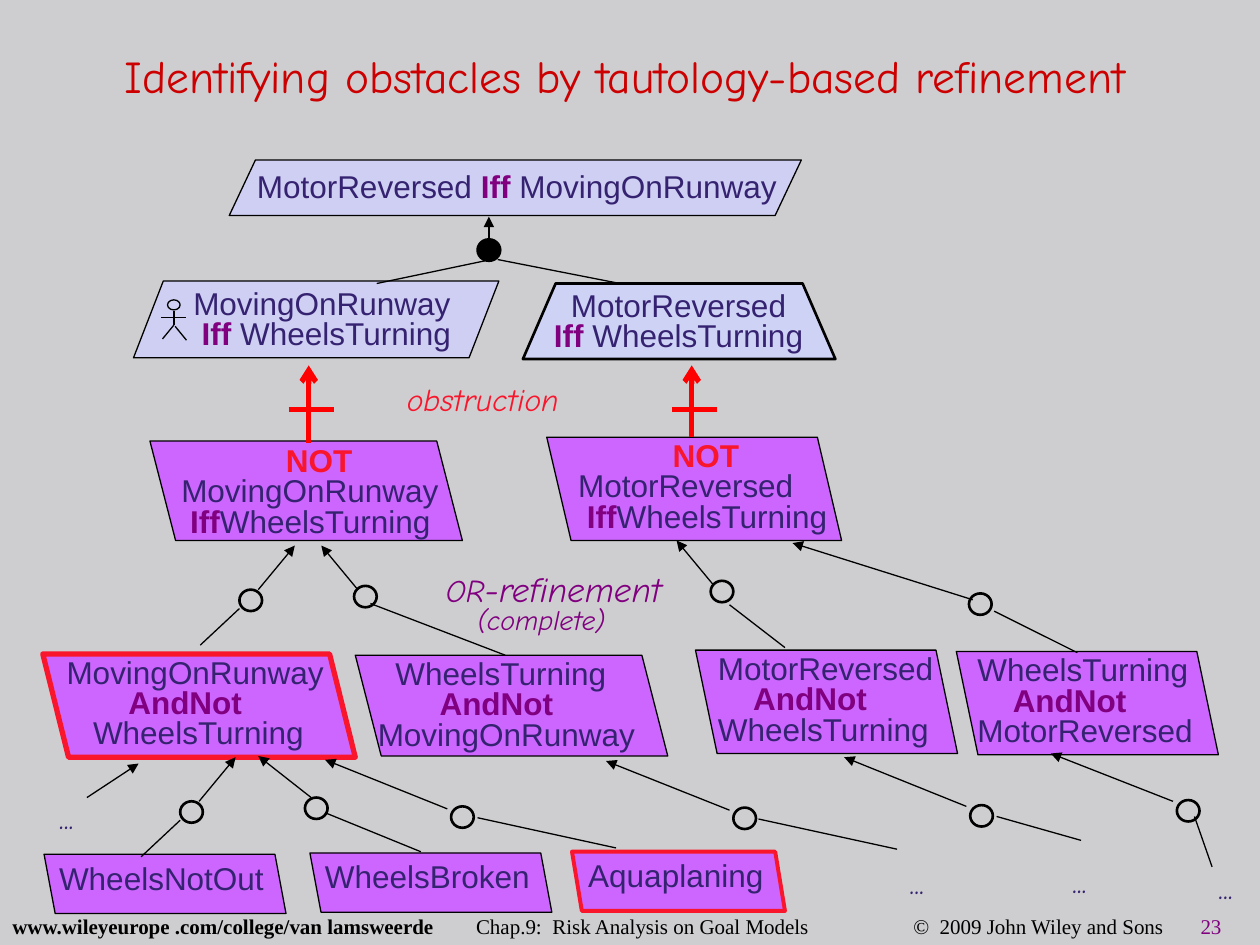
from lxml import etree
from pptx import Presentation
from pptx.dml.color import RGBColor
from pptx.enum.shapes import MSO_CONNECTOR, MSO_SHAPE
from pptx.enum.text import MSO_ANCHOR, PP_ALIGN
from pptx.oxml.ns import qn
from pptx.util import Inches, Pt

LINE = MSO_CONNECTOR.STRAIGHT
SLANTED, CIRCLE = MSO_SHAPE.PARALLELOGRAM, MSO_SHAPE.OVAL
LEFT, CENTER = PP_ALIGN.LEFT, PP_ALIGN.CENTER

THEME = {
    "page": "CECED0", "goal": "CECFF2", "expectation": "CED3F6", "obstacle": "CC66FF",
    "ink": "352270", "keyword": "800080", "alert": "F9152B", "title": "CC0000",
    "arrow": "FF0000", "black": "000000",
    "sans": "Arial", "hand": "Comic Neue", "serif": "Times New Roman",
    "body_size": 18, "title_size": 26, "big_size": 20, "small_size": 16, "footer_size": 12,
}

# A text line is (indent, [(text, colour), ...]); any colour but ink is bold.
TITLE = "Identifying obstacles by tautology-based refinement"
FOOTER = [("www.wileyeurope .com/college/van lamsweerde", "black", True),
          ("\tChap.9:  Risk Analysis on Goal Models", "black", False),
          ("\t©  2009 John Wiley and Sons", "black", False),
          ("\t23", "keyword", False)]
FOOTER_TABS = [3.68, 7.15, 9.43]

# Goals: outline box, slant
GOALS = [((1.82, 1.27, 4.54, 0.44), 0.472), ((1.06, 2.23, 2.9, 0.61), 0.388)]
EXPECTATION = [(6.63, 2.85), (6.37, 2.25), (4.41, 2.25), (4.15, 2.85)]
# Goal labels: box, alignment, line spacing, lines
GOAL_TEXTS = [
    ((1.94, 1.28, 4.41, 0.39), LEFT, 1.0,
     [(0, [("MotorReversed ", "ink"), ("Iff ", "keyword"), ("MovingOnRunway", "ink")])]),
    ((4.14, 2.28, 2.49, 0.57), CENTER, 0.8,
     [(0, [("MotorReversed", "ink")]), (0, [("Iff ", "keyword"), ("WheelsTurning", "ink")])]),
    ((1.36, 2.26, 2.39, 0.57), CENTER, 0.8,
     [(0, [("MovingOnRunway", "ink")]),
      (0.07, [("Iff ", "keyword"), ("WheelsTurning", "ink")])]),
]


def negated(indent, subject):
    return [(indent, [("NOT", "alert")]), (0, [(subject, "ink")]),
            (0.07, [("Iff", "keyword"), ("WheelsTurning", "ink")])]


def and_not(first, second, indents):
    words = [(first, "ink"), ("AndNot", "keyword"), (second, "ink")]
    return [(indent, [word]) for indent, word in zip(indents, words)]


def leaf(word):
    return [(0.07, [(word, "ink")])]


# Obstacles: outline box, slant, emphasis width (0 = plain), label box, lines
OBSTACLES = [
    ((1.19, 3.5, 2.48, 0.79), 0.258, 0, (1.34, 3.51, 2.41, 0.82), negated(0.83, "MovingOnRunway")),
    ((4.34, 3.47, 2.34, 0.82), 0.235, 0, (4.49, 3.47, 2.34, 0.85), negated(0.75, "MotorReversed")),
    ((0.34, 5.19, 2.48, 0.82), 0.249, 3, (0.43, 5.19, 2.31, 0.85),
     and_not("MovingOnRunway", "WheelsTurning", (0, 0.49, 0.21))),
    ((2.82, 5.2, 2.48, 0.8), 0.257, 0, (2.9, 5.2, 2.31, 0.82),
     and_not("WheelsTurning", "MovingOnRunway", (0.14, 0.49, 0))),
    ((5.52, 5.16, 2.08, 0.82), 0.209, 0, (5.6, 5.16, 1.93, 0.85),
     and_not("MotorReversed", "WheelsTurning", (0, 0.28, 0))),
    ((7.59, 5.17, 2.08, 0.82), 0.209, 0, (7.66, 5.17, 1.93, 0.85),
     and_not("WheelsTurning", "MotorReversed", (0, 0.28, 0))),
    ((0.35, 6.78, 1.92, 0.47), 0.187, 0, (0.3, 6.83, 1.95, 0.4), leaf("WheelsNotOut")),
    ((2.46, 6.77, 1.92, 0.47), 0.187, 0, (2.41, 6.81, 1.95, 0.4), leaf("WheelsBroken")),
    ((4.54, 6.76, 1.69, 0.47), 0.165, 2.25, (4.5, 6.8, 1.72, 0.4), leaf("Aquaplaning")),
]

# Refinements: arrow (tip, tail), circle corner, lower line
REFINEMENTS = [
    ((2.34, 4.33, 2.05, 4.68), (1.9, 4.68), (1.9, 4.83, 1.59, 5.12)),
    ((2.55, 4.33, 2.84, 4.68), (2.81, 4.65), (2.94, 4.79, 4.01, 5.2)),
    ((5.37, 4.29, 5.66, 4.64), (5.64, 4.61), (5.79, 4.8, 6.23, 5.14)),
    ((6.29, 4.31, 7.72, 4.76), (7.69, 4.71), (7.89, 4.85, 8.55, 5.18)),
    ((1.87, 6.01, 1.58, 6.36), (1.43, 6.36), (1.43, 6.51, 1.12, 6.8)),
    ((2.05, 6, 2.47, 6.33), (2.42, 6.33), (2.58, 6.45, 3.34, 6.76)),
    ((2.58, 6.03, 3.55, 6.42), (3.58, 6.4), (3.79, 6.49, 4.89, 6.73)),
    ((4.81, 6.04, 5.79, 6.43), (5.82, 6.41), (6.02, 6.5, 7.12, 6.74)),
    ((6.7, 6.01, 7.67, 6.4), (7.7, 6.39), (7.91, 6.48, 8.58, 6.67)),
    ((8.34, 5.98, 9.31, 6.36), (9.34, 6.35), (9.48, 6.48, 9.62, 6.88)),
]
ARROWS = [(3.88, 1.72, 3.88, 1.92), (1.1, 6.06, 0.69, 6.33)]
GOAL_LINES = [(3.95, 2.06, 4.92, 2.25), (3.85, 2.07, 2.99, 2.25)]
AGENT_LINES = [(1.38, 2.47, 1.38, 2.58), (1.38, 2.58, 1.29, 2.69),
               (1.39, 2.59, 1.48, 2.7), (1.28, 2.52, 1.48, 2.52)]
OBSTRUCTIONS = [(2.45, 3.52), (5.49, 3.47)]  # centre, foot
ELLIPSES = [(6.95, 6.86), (8.24, 6.85), (9.4, 6.9), (0.2, 6.34)]


def colour(name):
    return RGBColor.from_string(THEME[name])


def style(shape, fill, line, width):
    shape.shadow.inherit = False
    if fill:
        shape.fill.solid()
        shape.fill.fore_color.rgb = colour(fill)
    else:
        shape.fill.background()
    shape.line.color.rgb = colour(line)
    shape.line.width = Pt(width)


def add_outline(kind, box, fill, line="black", width=0.75, slant=None, flip=False):
    shape = page.shapes.add_shape(kind, *map(Inches, box))
    style(shape, fill, line, width)
    if slant:
        shape.adjustments[0] = slant
    if flip:
        shape.element.spPr.xfrm.set("flipH", "1")


def add_line(ends, tip=None, line="black", width=0.75):
    connector = page.shapes.add_connector(LINE, *map(Inches, ends))
    connector.line.color.rgb = colour(line)
    connector.line.width = Pt(width)
    if tip:
        etree.SubElement(connector.line._get_or_add_ln(), qn("a:headEnd"), type=tip)
    etree.SubElement(connector.element.spPr, qn("a:effectLst"))


def add_text(box, lines, align=LEFT, spacing=0.8, face="sans", size="body_size",
             italic=None, bold=True, tabs=()):
    frame = page.shapes.add_textbox(*map(Inches, box)).text_frame
    frame.word_wrap = True
    for number, (indent, spans) in enumerate(lines):
        para = frame.add_paragraph() if number else frame.paragraphs[0]
        para.alignment, para.line_spacing = align, spacing
        properties = para._p.get_or_add_pPr()
        if indent:
            properties.set("marL", str(Inches(indent)))
            properties.set("indent", "0")
        if tabs:
            tab_list = etree.SubElement(properties, qn("a:tabLst"))
            for stop in tabs:
                etree.SubElement(tab_list, qn("a:tab"), pos=str(Inches(stop)), algn="l")
        para.font.name, para.font.size = THEME[face], Pt(THEME[size])
        para.font.italic = italic
        for text, tint, *weight in spans:
            span = para.add_run()
            span.text = text
            span.font.color.rgb = colour(tint)
            span.font.bold = weight[0] if weight else bold and tint != "ink"
    return frame


deck = Presentation()
deck.slide_width, deck.slide_height = Inches(10), Inches(7.5)
page = deck.slides.add_slide(deck.slide_layouts[6])
page.background.fill.solid()
page.background.fill.fore_color.rgb = colour("page")

# Title and footer
heading = add_text((0.18, 0.16, 9.57, 0.83), [(0, [(TITLE, "title")])], CENTER, 1.1,
                   "hand", "title_size", bold=False)
heading.vertical_anchor = MSO_ANCHOR.MIDDLE
add_text((0, 7.26, 9.97, 0.24), [(0, FOOTER)], spacing=0.7, face="serif",
         size="footer_size", tabs=FOOTER_TABS)

# Goals
for box, slant in GOALS:
    add_outline(SLANTED, box, "goal", slant=slant)
start, *corners = [(Inches(x), Inches(y)) for x, y in EXPECTATION]
builder = page.shapes.build_freeform(*start)
builder.add_line_segments(corners)
style(builder.convert_to_shape(), "expectation", "black", 1.5)
for box, align, spacing, lines in GOAL_TEXTS:
    add_text(box, lines, align, spacing)

# Agent figure
add_outline(CIRCLE, (1.33, 2.38, 0.1, 0.08), None)
for ends in AGENT_LINES + GOAL_LINES:
    add_line(ends)

# Obstacles
for box, slant, emphasis, label_box, lines in OBSTACLES:
    add_outline(SLANTED, box, "obstacle", "alert" if emphasis else "black",
                emphasis or 0.75, slant, flip=True)
    add_text(label_box, lines)

# Refinement links
for ends in ARROWS:
    add_line(ends, "triangle")
add_outline(CIRCLE, (3.79, 1.9, 0.18, 0.17), "black", width=1.5)
for upper, corner, lower in REFINEMENTS:
    add_line(upper, "triangle")
    add_line(lower)
    add_outline(CIRCLE, (*corner, 0.18, 0.17), None, width=1.5)

# Obstruction arrows with cross bars
for x, foot in OBSTRUCTIONS:
    add_line((x, 2.9, x, foot), "arrow", "arrow", 3)
    add_line((x - 0.16, 3.25, x + 0.2, 3.25), None, "arrow", 3)

# Annotations
add_text((3.13, 2.97, 1.68, 0.43), [(0, [("obstruction", "alert")])], spacing=1.0,
         face="hand", italic=True, bold=False)
note = add_text((3.44, 4.52, 2.38, 0.63),
                [(0, [("OR", "keyword"), ("-refinement", "keyword")]),
                 (0.25, [("(complete)", "keyword")])],
                face="hand", italic=True, bold=False)
note.paragraphs[0].runs[1].font.size = Pt(THEME["big_size"])
note.paragraphs[1].font.size = Pt(THEME["small_size"])
for left, top in ELLIPSES:
    add_text((left, top, 0.6, 0.24), [(0.17, [("...", "ink")])], face="hand")

deck.save("out.pptx")
